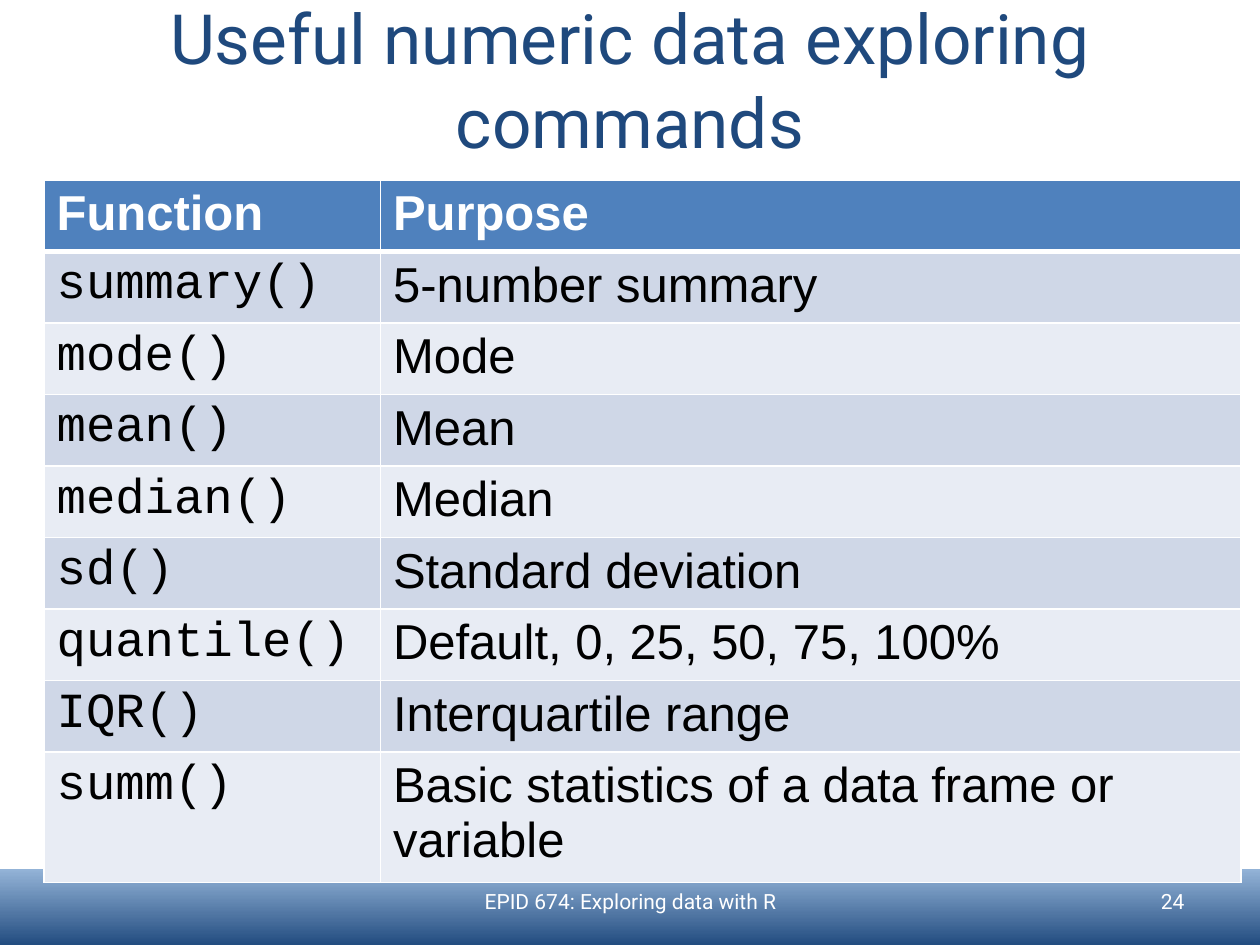
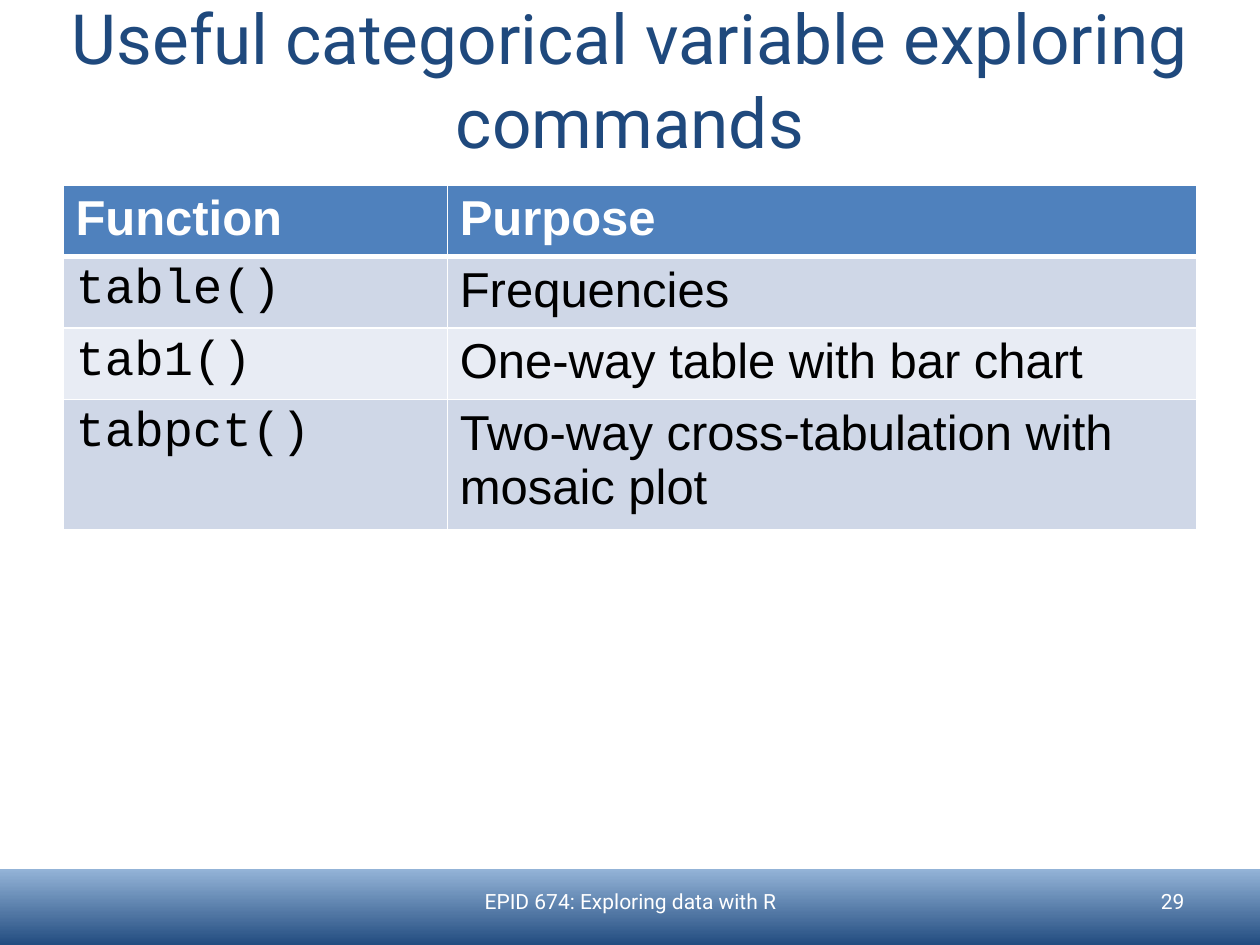
from lxml import etree
from pptx import Presentation
from pptx.dml.color import RGBColor
from pptx.enum.shapes import MSO_SHAPE as Shape
from pptx.enum.text import MSO_ANCHOR as Anchor, PP_ALIGN as Align
from pptx.oxml import parse_xml
from pptx.oxml.ns import nsdecls
from pptx.util import Inches, Pt

NAVY, SKY, WHITE, BLACK = "1F497D", "93B3D7", "FFFFFF", "000000"
HEADER, BANDS = "4F81BD", ("CFD7E7", "E8ECF4")
FOOTER = "EPID 674: Exploring data with R"
ROW_HEIGHT = 0.41
COLUMN_FONTS = ("Courier New", "Arial")

SLIDES = [
    {
        "title": "Useful numeric data exploring commands",
        "number": "24",
        "corner": (0.35, 1.43),
        "widths": (2.67, 6.83),
        "rows": [
            ("summary()", "5-number summary"),
            ("mode()", "Mode"),
            ("mean()", "Mean"),
            ("median()", "Median"),
            ("sd()", "Standard deviation"),
            ("quantile()", "Default, 0, 25, 50, 75, 100%"),
            ("IQR()", "Interquartile range"),
            ("summ()", "Basic statistics of a data frame or variable"),
        ],
    },
    {
        "title": "Useful categorical variable exploring commands",
        "number": "29",
        "corner": (0.5, 1.47),
        "widths": (3.05, 5.95),
        "rows": [
            ("table()", "Frequencies"),
            ("tab1()", "One-way table with bar chart"),
            ("tabpct()", "Two-way cross-tabulation with mosaic plot"),
        ],
    },
]


def rgb(code):
    return RGBColor.from_string(code)


def write(frame, text, font="Roboto", size=12, color=WHITE, bold=False,
          align=Align.LEFT, anchor=Anchor.TOP):
    frame.word_wrap = True
    frame.vertical_anchor = anchor
    para = frame.paragraphs[0]
    para.alignment = align
    span = para.add_run()
    span.text = text
    span.font.name = font
    span.font.size = Pt(size)
    span.font.bold = bold
    span.font.color.rgb = rgb(color)


deck = Presentation()
deck.slide_width = Inches(10)
deck.slide_height = Inches(7.5)

for content in SLIDES:
    page = deck.slides.add_slide(deck.slide_layouts[6])

    band = page.shapes.add_shape(Shape.RECTANGLE, Inches(0), Inches(6.9),
                                 Inches(10.02), Inches(0.62))
    band.shadow.inherit = False
    band.line.fill.background()
    band.fill.gradient()
    band.fill.gradient_angle = 90
    for stop, color in zip(band.fill.gradient_stops, (NAVY, SKY)):
        stop.color.rgb = rgb(color)

    for text, area, size, color, align in (
        (content["title"], (0, 0, 10, 1.25), 39.6, NAVY, Align.CENTER),
        (FOOTER, (3.42, 6.95, 3.17, 0.4), 12, WHITE, Align.CENTER),
        (content["number"], (7.17, 6.95, 2.33, 0.4), 12, WHITE, Align.RIGHT),
    ):
        box = page.shapes.add_textbox(*map(Inches, area))
        write(box.text_frame, text, size=size, color=color, align=align,
              anchor=Anchor.MIDDLE)

    rows = [("Function", "Purpose")] + content["rows"]
    left, top = content["corner"]
    widths = content["widths"]
    table = page.shapes.add_table(
        len(rows), len(widths), Inches(left), Inches(top),
        Inches(sum(widths)), Inches(ROW_HEIGHT * len(rows))).table
    for column, width in zip(table.columns, widths):
        column.width = Inches(width)

    for r, row in enumerate(rows):
        table.rows[r].height = Inches(ROW_HEIGHT)
        for c, text in enumerate(row):
            cell = table.cell(r, c)
            properties = cell._tc.get_or_add_tcPr()
            for side in ("L", "R", "T", "B"):
                thick = (r, side) in ((0, "B"), (1, "T"))
                line = parse_xml(f'<a:ln{side} {nsdecls("a")} w="{Pt(3 if thick else 1)}"/>')
                fill = etree.SubElement(line, line.tag.replace(f"ln{side}", "solidFill"))
                etree.SubElement(fill, fill.tag.replace("solidFill", "srgbClr"), val=WHITE)
                properties.append(line)
            cell.fill.solid()
            if r == 0:
                cell.fill.fore_color.rgb = rgb(HEADER)
                write(cell.text_frame, text, font="Arial", size=28, bold=True)
            else:
                cell.fill.fore_color.rgb = rgb(BANDS[(r - 1) % 2])
                write(cell.text_frame, text, font=COLUMN_FONTS[c], size=28, color=BLACK)

deck.save("out.pptx")
